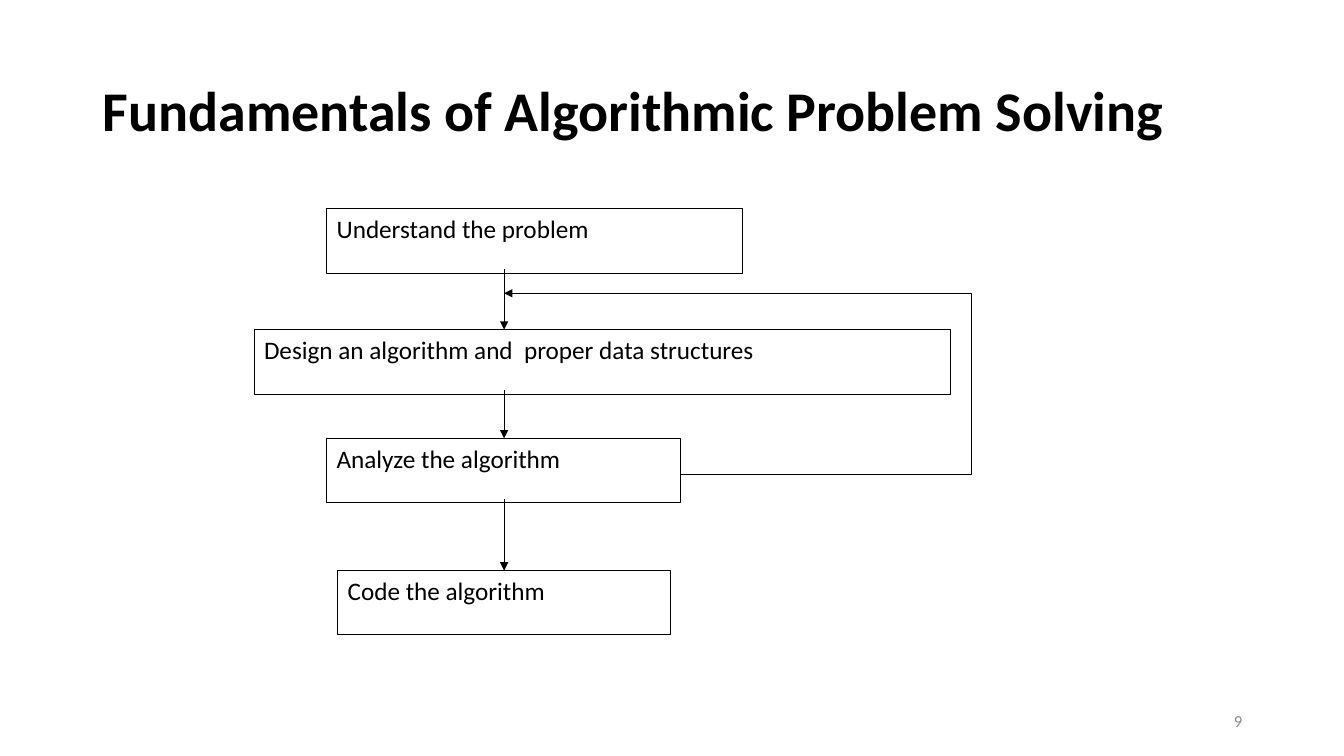
from dataclasses import dataclass

from lxml import etree
from pptx import Presentation
from pptx.dml.color import RGBColor
from pptx.enum.shapes import MSO_CONNECTOR, MSO_SHAPE
from pptx.enum.text import MSO_ANCHOR, MSO_AUTO_SIZE, PP_ALIGN
from pptx.oxml.ns import qn
from pptx.util import Pt

EMU_PER_PX = 9144  # 100 px to the inch
SLIDE_WIDTH, SLIDE_HEIGHT = 1333, 750
TITLE_ONLY = 5
FONT = "Calibri"
COLORS = {"ink": "000000", "number": "8C8C8C"}
LINE_WIDTH = Pt(0.75)
LEFT, RIGHT = PP_ALIGN.LEFT, PP_ALIGN.RIGHT
TOP, MIDDLE = MSO_ANCHOR.TOP, MSO_ANCHOR.MIDDLE
RECTANGLE = MSO_SHAPE.RECTANGLE
STRAIGHT = MSO_CONNECTOR.STRAIGHT

STEP_HEIGHT = 64
ARROW_X = 500
ARROW_OVERLAP = 4  # each arrow starts just inside the box above


@dataclass(frozen=True)
class Step:
    text: str
    left: int
    top: int
    width: int


STEPS = [
    Step("Understand the problem", 324, 207, 412),
    Step("Design an algorithm and  proper data structures", 252, 327, 691),
    Step("Analyze the algorithm", 324, 435, 351),
    Step("Code the algorithm", 335, 566, 330),
]
FEEDBACK_LOOP = [(675, 471), (964, 471), (964, 291), (ARROW_X, 291)]


def px(*lengths: int) -> list[int]:
    return [length * EMU_PER_PX for length in lengths]


def color(name: str) -> RGBColor:
    return RGBColor.from_string(COLORS[name])


def write_text(shape, text: str, *, size: int, color_name: str = "ink",
               bold: bool = False, align=LEFT, anchor=TOP,
               line_spacing: float = 1.0) -> None:
    frame = shape.text_frame
    frame.word_wrap = True
    frame.auto_size = MSO_AUTO_SIZE.NONE
    frame.vertical_anchor = anchor
    paragraph = frame.paragraphs[0]
    paragraph.alignment = align
    paragraph.line_spacing = line_spacing
    run = paragraph.add_run()
    run.text = text
    run.font.name = FONT
    run.font.size = Pt(size)
    run.font.bold = bold
    run.font.color.rgb = color(color_name)


def style_line(shape, *, arrow: bool = False) -> None:
    shape.line.color.rgb = color("ink")
    shape.line.width = LINE_WIDTH
    if arrow:
        line = shape.line._get_or_add_ln()
        etree.SubElement(line, qn("a:tailEnd"), type="triangle")


def add_step(slide, step: Step) -> None:
    box = slide.shapes.add_shape(
        RECTANGLE, *px(step.left, step.top, step.width, STEP_HEIGHT))
    box.shadow.inherit = False
    box.fill.background()
    style_line(box)
    write_text(box, step.text, size=18)


def add_down_arrow(slide, start: int, end: int) -> None:
    arrow = slide.shapes.add_connector(
        STRAIGHT, *px(ARROW_X, start, ARROW_X, end))
    style_line(arrow, arrow=True)
    etree.SubElement(arrow._element.spPr, qn("a:effectLst"))


def add_loop(slide, points: list[tuple[int, int]]) -> None:
    builder = slide.shapes.build_freeform(*points[0], scale=EMU_PER_PX)
    builder.add_line_segments(points[1:], close=False)
    loop = builder.convert_to_shape()
    loop.shadow.inherit = False
    loop.fill.background()
    style_line(loop, arrow=True)


def main() -> None:
    presentation = Presentation()
    presentation.slide_width, presentation.slide_height = px(
        SLIDE_WIDTH, SLIDE_HEIGHT)
    slide = presentation.slides.add_slide(
        presentation.slide_layouts[TITLE_ONLY])

    # Title
    title = slide.shapes.title
    title.left, title.top, title.width, title.height = px(92, 40, 1150, 145)
    write_text(title, "Fundamentals of Algorithmic Problem Solving",
               size=40, bold=True, anchor=MIDDLE, line_spacing=0.9)

    # Flowchart
    for step in STEPS:
        add_step(slide, step)
    for upper, lower in zip(STEPS, STEPS[1:]):
        add_down_arrow(slide, upper.top + STEP_HEIGHT - ARROW_OVERLAP, lower.top)
    add_loop(slide, FEEDBACK_LOOP)

    # Slide number
    number = slide.shapes.add_textbox(*px(942, 695, 300, 40))
    write_text(number, "9", size=12, color_name="number",
               align=RIGHT, anchor=MIDDLE)

    presentation.save("out.pptx")


if __name__ == "__main__":
    main()
